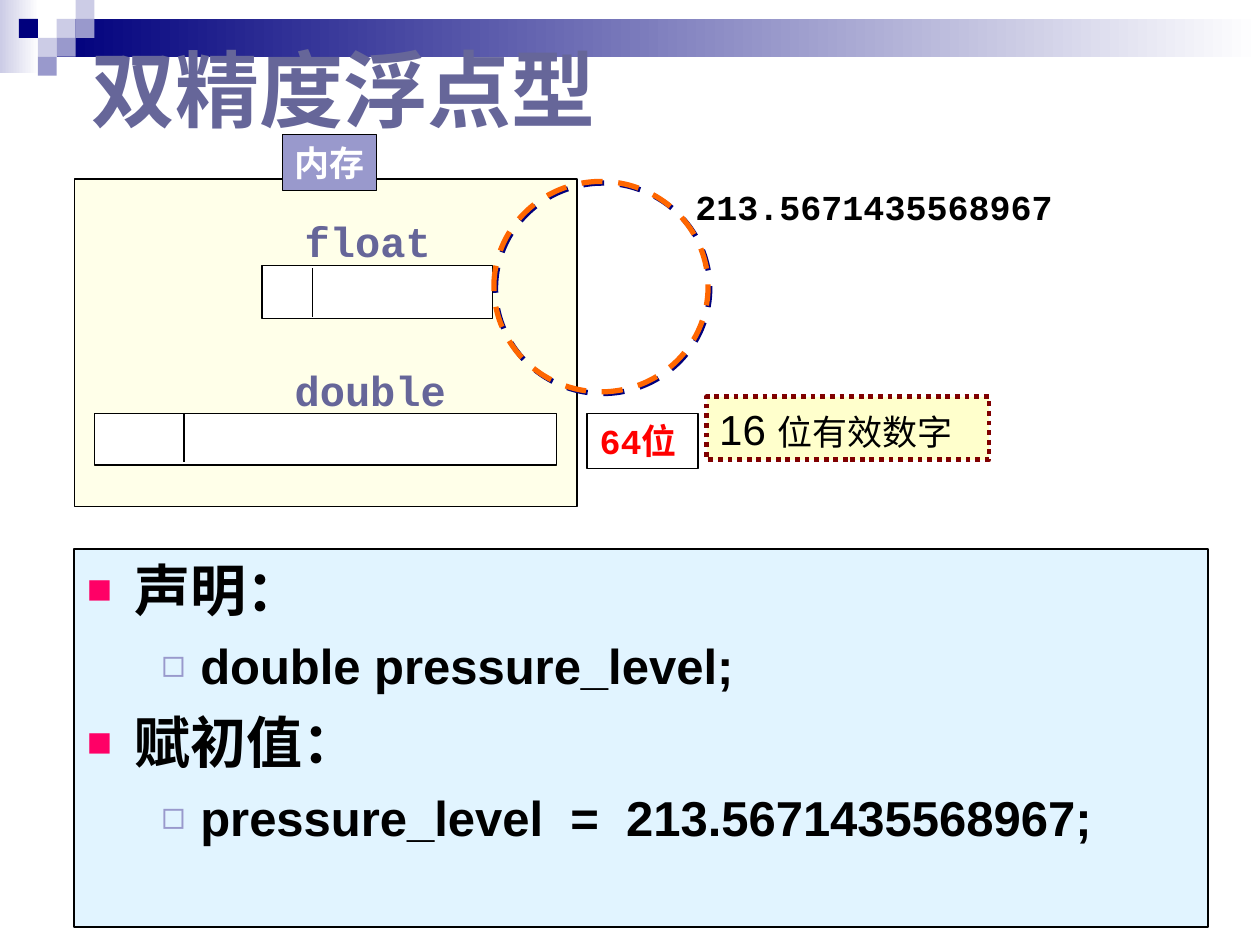
from lxml import etree
from pptx import Presentation
from pptx.dml.color import RGBColor
from pptx.enum.dml import MSO_LINE
from pptx.enum.shapes import MSO_CONNECTOR, MSO_SHAPE
from pptx.enum.text import MSO_ANCHOR, MSO_AUTO_SIZE, PP_ALIGN
from pptx.oxml.ns import qn
from pptx.util import Inches, Pt

RECT, OVAL = MSO_SHAPE.RECTANGLE, MSO_SHAPE.OVAL
STRAIGHT = MSO_CONNECTOR.STRAIGHT
DASH, DOTS = MSO_LINE.DASH, MSO_LINE.ROUND_DOT
LEFT = PP_ALIGN.LEFT
TOP, MIDDLE = MSO_ANCHOR.TOP, MSO_ANCHOR.MIDDLE
NO_FIT = MSO_AUTO_SIZE.NONE

COLORS = {
    "black": "000000", "white": "FFFFFF", "navy": "00007D",
    "lilac": "9999CC", "pale": "CCCCE6", "slate": "666699",
    "cream": "FFFFE9", "yellow": "FFFFCC", "sky": "E1F4FF",
    "red": "FF0000", "orange": "FF6600", "maroon": "800000",
    "pink": "FF0066",
}
HAN, MONO, SANS = "Noto Sans CJK SC", "Courier New", "Arial"


def rgb(name):
    return RGBColor.from_string(COLORS[name])


class SlideBuilder:
    def __init__(self, page):
        self.page = page

    def style_font(self, font, size, color, name, bold=True):
        font.size, font.name, font.bold = Pt(size), name, bold
        font.color.rgb = rgb(color)

    def style_para(self, para, size, color, name):
        para.alignment = LEFT
        self.style_font(para.font, size, color, name)
        properties = para._p.pPr.find(qn("a:defRPr"))
        etree.SubElement(properties, qn("a:ea"), typeface=HAN)

    def outline(self, shape, color, width, dash=None):
        shape.line.color.rgb = rgb(color)
        shape.line.width = Pt(width)
        if dash:
            shape.line.dash_style = dash

    def place(self, shape, area):
        shape.left, shape.top, shape.width, shape.height = map(Inches, area)
        shape.element.getparent().append(shape.element)

    def shape(self, area, fill=None, line=None, width=0.75, dash=None, kind=RECT):
        shape = self.page.shapes.add_shape(kind, *map(Inches, area))
        shape.shadow.inherit = False
        if fill:
            shape.fill.solid()
            shape.fill.fore_color.rgb = rgb(fill)
        else:
            shape.fill.background()
        if line:
            self.outline(shape, line, width, dash)
        else:
            shape.line.fill.background()
        return shape

    def gradient(self, area, start):
        shape = self.shape(area)
        shape.fill.gradient()
        shape.fill.gradient_angle = 0
        for stop, color in zip(shape.fill.gradient_stops, (start, "white")):
            stop.color.rgb = rgb(color)

    def text_frame(self, shape):
        frame = shape.text_frame
        frame.word_wrap = False
        frame.vertical_anchor = TOP
        return frame

    def put_text(self, shape, text, size, color, name=MONO):
        frame = self.text_frame(shape)
        frame.text = text
        self.style_para(frame.paragraphs[0], size, color, name)
        return frame

    def label(self, area, text, size, color):
        box = self.page.shapes.add_textbox(*map(Inches, area))
        self.put_text(box, text, size, color).margin_top = Inches(0.11)

    def note(self, shape, spans):
        para = self.text_frame(shape).paragraphs[0]
        para.alignment = LEFT
        for text, size, name in spans:
            span = para.add_run()
            span.text = text
            self.style_font(span.font, size, "black", name, bold=False)

    def line(self, x, top, bottom):
        line = self.page.shapes.add_connector(
            STRAIGHT, *map(Inches, (x, top, x, bottom)))
        self.outline(line, "black", 0.75)
        etree.SubElement(line.element.spPr, qn("a:effectLst"))

    def shadow(self, shape, color):
        effects = shape.element.spPr.find(qn("a:effectLst"))
        outer = etree.SubElement(effects, qn("a:outerShdw"),
                                 dist=str(Pt(1.4)), dir="2700000")
        etree.SubElement(outer, qn("a:srgbClr"), val=COLORS[color])

    def title(self, area, text):
        title = self.page.shapes.title
        self.place(title, area)
        self.put_text(title, text, 48, "slate", HAN)
        title.text_frame.vertical_anchor = MIDDLE

    def bullet(self, para, char, color, percent, margin, indent):
        properties = para._p.get_or_add_pPr()
        properties.set("marL", str(Inches(margin)))
        properties.set("indent", str(Inches(indent)))
        tint = etree.SubElement(properties, qn("a:buClr"))
        etree.SubElement(tint, qn("a:srgbClr"), val=COLORS[color])
        etree.SubElement(properties, qn("a:buSzPct"), val=str(percent * 1000))
        etree.SubElement(properties, qn("a:buFont"), typeface=SANS)
        etree.SubElement(properties, qn("a:buChar"), char=char)

    def body(self, area, items):
        levels = [
            (("■", "pink", 75, 0.38, -0.38), 32, 8),
            (("◻", "lilac", 80, 0.9, -0.31), 28, 7),
        ]
        body = self.page.placeholders[1]
        self.place(body, area)
        body.fill.solid()
        body.fill.fore_color.rgb = rgb("sky")
        self.outline(body, "black", 1.25)
        frame = body.text_frame
        frame.auto_size = NO_FIT
        frame.vertical_anchor = TOP
        for index, (level, text) in enumerate(items):
            para = frame.add_paragraph() if index else frame.paragraphs[0]
            marker, size, gap = levels[level]
            para.text, para.level = text, level
            para.space_before = Pt(gap if index else 0)
            self.bullet(para, *marker)
            self.style_para(para, size, "black", SANS)


def main():
    deck = Presentation()
    deck.slide_width, deck.slide_height = Inches(10), Inches(7.5)
    slide = SlideBuilder(deck.slides.add_slide(deck.slide_layouts[1]))

    slide.gradient((0, 0, 0.31, 0.58), "pale")
    slide.gradient((0.45, 0.15, 9.55, 0.3), "navy")
    cell = 0.15
    for column, row, color in [
        (3, 1, "pale"), (4, 0, "pale"), (4, 1, "lilac"), (2, 2, "pale"),
        (1, 1, "navy"), (3, 2, "lilac"), (2, 3, "lilac"),
    ]:
        slide.shape((column * cell, row * cell, cell, cell), color)
    slide.title((0.63, 0.19, 8.97, 1.02), "双精度浮点型")

    slide.shape((0.59, 1.42, 3.99, 2.6), "cream", "black")
    memory = slide.shape((2.24, 1.07, 0.75, 0.44), "lilac", "black")
    slide.put_text(memory, "内存", 20, "white")
    slide.shape((2.08, 2.11, 1.83, 0.42), "white", "black")
    slide.shape((0.75, 3.28, 3.67, 0.41), "white", "black")
    slide.label((2.32, 1.6, 1.2, 0.5), "float", 24, "slate")
    slide.label((2.24, 2.78, 1.4, 0.5), "double", 24, "slate")
    slide.label((5.42, 1.36, 3.05, 0.5), "213.5671435568967", 20, "black")

    bits = slide.shape((4.66, 3.28, 0.88, 0.44), "white", "black")
    slide.put_text(bits, "64位", 20, "red")
    ring = slide.shape((3.92, 1.44, 1.7, 1.67), None, "orange", 3, DASH, OVAL)
    slide.shadow(ring, "navy")
    digits = slide.shape((5.61, 3.15, 2.24, 0.5), "yellow", "maroon", 2.75, DOTS)
    slide.note(digits, [("16 ", 24, SANS), ("位有效数字", 20, HAN)])

    slide.body((0.59, 4.36, 9, 3), [
        (0, "声明："),
        (1, "double pressure_level;"),
        (0, "赋初值："),
        (1, "pressure_level  =  213.5671435568967;"),
    ])
    slide.line(2.48, 2.13, 2.52)
    slide.line(1.46, 3.28, 3.67)
    deck.save("out.pptx")


if __name__ == "__main__":
    main()
